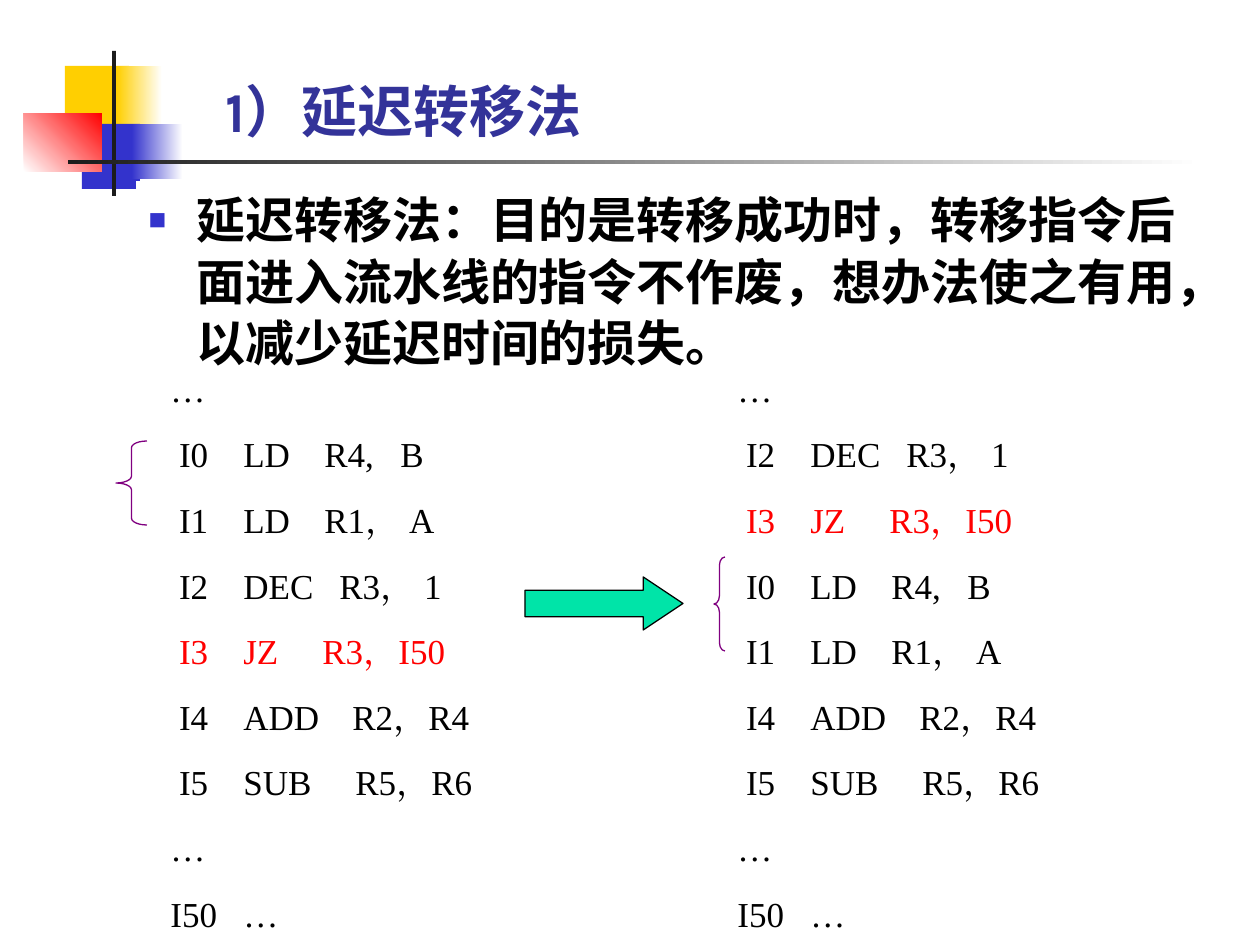
from dataclasses import dataclass

from lxml.etree import SubElement
from pptx import Presentation
from pptx.dml.color import RGBColor as Rgb
from pptx.enum.shapes import MSO_SHAPE as Preset
from pptx.enum.text import MSO_ANCHOR as Anchor, MSO_AUTO_SIZE as AutoSize, PP_ALIGN as Align
from pptx.oxml.ns import qn
from pptx.shapes.base import BaseShape
from pptx.slide import Slide
from pptx.text.text import _Paragraph as Paragraph
from pptx.util import Emu, Inches, Pt

PX_PER_INCH = 126


@dataclass(frozen=True)
class Theme:
    white: str = "FFFFFF"
    black: str = "000000"
    ink: str = "1C1C1C"
    yellow: str = "FFCF01"
    blue: str = "3333CC"
    red: str = "FF0000"
    title: str = "333399"
    arrow: str = "00E4A8"
    brace: str = "800080"
    title_font: str = "Karla"
    body_font: str = "Noto Sans CJK SC"
    code_font: str = "Times New Roman"
    title_size: int = 32
    body_size: int = 28
    code_size: int = 20
    line_width: float = 0.75


@dataclass(frozen=True)
class Box:
    left: int
    top: int
    width: int
    height: int


@dataclass(frozen=True)
class Block:
    """A master ornament; with an end colour it fades from color at the given angle."""
    box: Box
    color: str
    end: str = ""
    angle: int = 0


@dataclass(frozen=True)
class CodeLine:
    text: str
    stops: tuple[int, ...] = ()
    color: str = "000000"


@dataclass(frozen=True)
class Brace:
    box: Box
    curve: float


THEME = Theme()

BLOCKS = [
    Block(Box(65, 66, 64, 66), THEME.yellow),
    Block(Box(117, 66, 45, 66), THEME.yellow, THEME.white),
    Block(Box(82, 124, 58, 65), THEME.blue),
    Block(Box(132, 124, 51, 55), THEME.blue, THEME.white),
    Block(Box(24, 113, 78, 59), THEME.white, THEME.red, 45),
    Block(Box(112, 51, 4, 145), THEME.ink),
    Block(Box(68, 160, 1134, 4), THEME.ink, THEME.white),
]

OPCODE = 73
ELLIPSIS = CodeLine("…")
LOAD_B = CodeLine(" I0\tLD\tR4,\tB", (OPCODE, 154, 230))
LOAD_A = CodeLine(" I1\tLD\tR1， A", (OPCODE, 154))
DECREMENT = CodeLine(" I2\tDEC\tR3， 1", (OPCODE, 169))
JUMP = CodeLine(" I3\tJZ\tR3，I50", (OPCODE, 152), THEME.red)
TAIL = [
    CodeLine(" I4\tADD\tR2，R4", (OPCODE, 182)),
    CodeLine(" I5\tSUB\tR5，R6", (OPCODE, 185)),
    ELLIPSIS,
    CodeLine("I50\t…", (OPCODE,)),
]
LISTINGS = {
    158: [ELLIPSIS, LOAD_B, LOAD_A, DECREMENT, JUMP, *TAIL],
    725: [ELLIPSIS, DECREMENT, JUMP, LOAD_B, LOAD_A, *TAIL],
}
BRACES = [Brace(Box(116, 441, 31, 84), 0.22), Brace(Box(714, 557, 11, 94), 0.75)]


def px(value: int) -> Emu:
    return Emu(round(value * 914400 / PX_PER_INCH))


def rgb(color: str) -> Rgb:
    return Rgb.from_string(color)


def place(shape: BaseShape, box: Box) -> None:
    shape.left, shape.top = px(box.left), px(box.top)
    shape.width, shape.height = px(box.width), px(box.height)


def format_runs(paragraph: Paragraph, font: str, size: int, color: str, bold: bool = False) -> None:
    for run in paragraph.runs:
        run.font.name, run.font.size, run.font.bold = font, Pt(size), bold
        run.font.color.rgb = rgb(color)
        SubElement(run.font._element, qn("a:ea"), typeface=font)


def add_preset(slide: Slide, preset: Preset, box: Box) -> BaseShape:
    shape = slide.shapes.add_shape(preset, 0, 0, 0, 0)
    place(shape, box)
    shape.shadow.inherit = False
    return shape


def draw_block(slide: Slide, block: Block) -> None:
    shape = add_preset(slide, Preset.RECTANGLE, block.box)
    shape.line.fill.background()
    if not block.end:
        shape.fill.solid()
        shape.fill.fore_color.rgb = rgb(block.color)
        return
    shape.fill.gradient()
    shape.fill.gradient_angle = block.angle
    for stop, color in zip(shape.fill.gradient_stops, (block.color, block.end)):
        stop.color.rgb = rgb(color)


def outline(shape: BaseShape, color: str) -> None:
    shape.line.color.rgb = rgb(color)
    shape.line.width = Pt(THEME.line_width)


def draw_brace(slide: Slide, brace: Brace) -> None:
    shape = add_preset(slide, Preset.LEFT_BRACE, brace.box)
    shape.adjustments[0] = brace.curve
    shape.fill.background()
    outline(shape, THEME.brace)


def draw_arrow(slide: Slide, box: Box) -> None:
    shape = add_preset(slide, Preset.RIGHT_ARROW, box)
    shape.adjustments[0], shape.adjustments[1] = 0.5, 0.75
    shape.fill.solid()
    shape.fill.fore_color.rgb = rgb(THEME.arrow)
    outline(shape, THEME.black)


def draw_listing(slide: Slide, left: int, lines: list[CodeLine]) -> None:
    frame = slide.shapes.add_textbox(px(left), px(361), px(388), px(566)).text_frame
    frame.word_wrap = True
    for index, line in enumerate(lines):
        paragraph = frame.add_paragraph() if index else frame.paragraphs[0]
        paragraph.text = line.text
        if index:
            paragraph.space_before = Pt(13.5)
        format_runs(paragraph, THEME.code_font, THEME.code_size, line.color)
        if line.stops:
            tabs = SubElement(paragraph._p.get_or_add_pPr(), qn("a:tabLst"))
            for stop in line.stops:
                SubElement(tabs, qn("a:tab"), pos=str(px(stop)), algn="l")


def fill_title(title: BaseShape) -> None:
    place(title, Box(213, 45, 410, 105))
    frame = title.text_frame
    frame.text = "1）延迟转移法"
    frame.auto_size, frame.vertical_anchor = AutoSize.NONE, Anchor.BOTTOM
    frame.paragraphs[0].alignment = Align.LEFT
    format_runs(frame.paragraphs[0], THEME.title_font, THEME.title_size, THEME.title, True)


def fill_body(body: BaseShape) -> None:
    place(body, Box(136, 181, 1071, 197))
    body.fill.solid()
    body.fill.fore_color.rgb = rgb(THEME.white)
    frame = body.text_frame
    frame.text = "延迟转移法：目的是转移成功时，转移指令后面进入流水线的指令不作废，想办法使之有用，以减少延迟时间的损失。"
    frame.auto_size = AutoSize.NONE
    paragraph = frame.paragraphs[0]
    paragraph.line_spacing, paragraph.space_before = Pt(35), Pt(0)
    format_runs(paragraph, THEME.body_font, THEME.body_size, THEME.black, True)
    properties = paragraph._p.get_or_add_pPr()
    properties.set("marL", str(Inches(0.38)))
    properties.set("indent", str(-Inches(0.38)))
    SubElement(SubElement(properties, qn("a:buClr")), qn("a:srgbClr"), val=THEME.blue)
    SubElement(properties, qn("a:buSzPct"), val="60000")
    SubElement(properties, qn("a:buChar"), char="■")


def main() -> None:
    presentation = Presentation()
    presentation.slide_width, presentation.slide_height = Inches(10), Inches(7.5)
    slide = presentation.slides.add_slide(presentation.slide_layouts[1])
    title, body = slide.placeholders
    for block in BLOCKS:
        draw_block(slide, block)
    fill_title(title)
    fill_body(body)
    for placeholder in (title, body):  # bring the text in front of the ornaments
        slide.shapes._spTree.append(placeholder._element)
    for left, lines in LISTINGS.items():
        draw_listing(slide, left, lines)
    draw_arrow(slide, Box(525, 577, 158, 53))
    for brace in BRACES:
        draw_brace(slide, brace)
    presentation.save("out.pptx")


if __name__ == "__main__":
    main()
